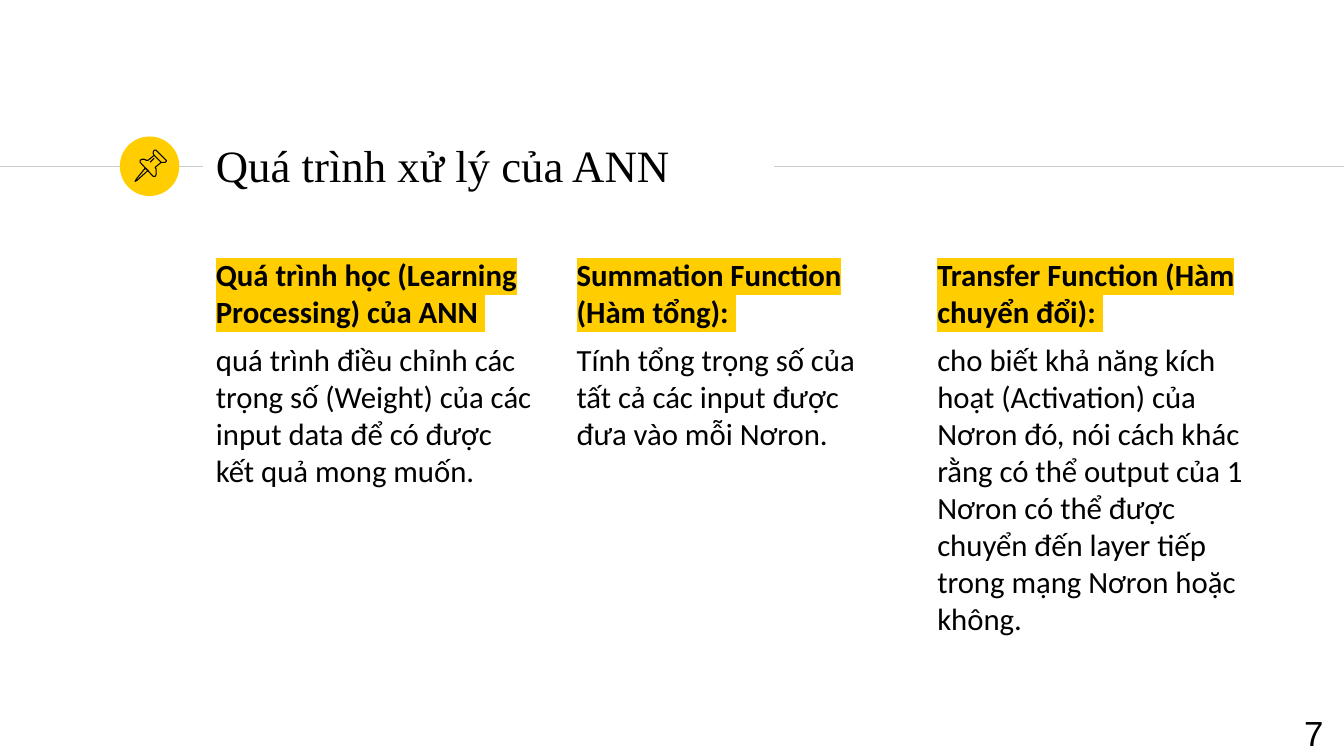
import lxml.etree
import pptx
import pptx.dml.color
import pptx.enum.shapes
import pptx.enum.text
import pptx.oxml.ns
import pptx.util

Cm = pptx.util.Cm
Pt = pptx.util.Pt
qn = pptx.oxml.ns.qn
Align = pptx.enum.text.PP_ALIGN
Anchor = pptx.enum.text.MSO_ANCHOR

BLACK = pptx.dml.color.RGBColor(0x00, 0x00, 0x00)
GREY = pptx.dml.color.RGBColor(0xCC, 0xCC, 0xCC)
GOLD = pptx.dml.color.RGBColor(0xFF, 0xCD, 0x00)

FRAME = {
    "word_wrap": True,
    "auto_size": pptx.enum.text.MSO_AUTO_SIZE.NONE,
    "margin_left": Cm(0.33),
    "margin_right": Cm(0.33),
    "margin_top": Cm(0.33),
    "margin_bottom": Cm(0.33),
}
RULE_Y = 4.19

COLUMNS = [
    ("Quá trình học (Learning Processing) của ANN ",
     "quá trình điều chỉnh các trọng số (Weight) của các input data "
     "để có được kết quả mong muốn."),
    ("Summation Function (Hàm tổng): ",
     "Tính tổng trọng số của tất cả các input được đưa vào mỗi Nơron."),
    ("Transfer Function (Hàm chuyển đổi): ",
     "cho biết khả năng kích hoạt (Activation) của Nơron đó, nói cách khác "
     "rằng có thể output của 1 Nơron có thể được chuyển đến layer tiếp "
     "trong mạng Nơron hoặc không."),
]

# Pin outlines in hundredths of an inch: points, closed
PIN = [
    ([(144, 167), (135, 178), (134, 180), (136, 179), (147, 169)], True),
    ([(153, 154), (160, 161), (162, 161), (164, 161), (165, 160), (165, 159),
      (155, 149), (154, 149), (153, 149), (152, 151), (152, 152)], True),
    ([(153, 154), (147, 159), (145, 159), (143, 158), (141, 158), (139, 159),
      (139, 161), (152, 175), (153, 175), (154, 175), (155, 173), (155, 171),
      (155, 168), (154, 166), (160, 161)], False),
    ([(149, 161), (153, 157)], False),
]


def apply(item, values):
    for name, value in values.items():
        setattr(item, name, value)


def place(shape, left, top, width, height):
    apply(shape, {"left": Cm(left), "top": Cm(top),
                  "width": Cm(width), "height": Cm(height)})


def frame(shape, anchor):
    apply(shape.text_frame, {**FRAME, "vertical_anchor": anchor})
    return shape.text_frame


def write(para, text, face, size, align=Align.LEFT, before=0, bold=False):
    apply(para, {"alignment": align, "space_before": Pt(before),
                 "space_after": Pt(0), "line_spacing": 1.0})
    run = para.add_run()
    run.text = text
    apply(run.font, {"name": face, "size": Pt(size), "bold": bold})
    run.font.color.rgb = BLACK
    return run


def mark(run):
    """Highlight a run; the schema wants it right after the fill."""
    fill = run.font._element.find(qn("a:solidFill"))
    light = lxml.etree.Element(qn("a:highlight"))
    lxml.etree.SubElement(light, qn("a:srgbClr"), val=str(GOLD))
    fill.addnext(light)


def plain(para):
    """Drop the bullet and the indent of a list paragraph."""
    props = para._p.get_or_add_pPr()
    props.set("marL", "0")
    props.set("indent", "0")
    lxml.etree.SubElement(props, qn("a:buNone"))


def column(shape, head, text):
    body = frame(shape, Anchor.TOP)
    first, second = body.paragraphs[0], body.add_paragraph()
    mark(write(first, head, "Calibri", 22, before=8, bold=True))
    write(second, text, "Calibri", 22, before=8)
    for para in (first, second):
        plain(para)


def rule(slide, start, end):
    line = slide.shapes.add_connector(
        pptx.enum.shapes.MSO_CONNECTOR.STRAIGHT,
        Cm(start), Cm(RULE_Y), Cm(end), Cm(RULE_Y))
    line.line.color.rgb = GREY
    line.line.width = Pt(0.75)
    lxml.etree.SubElement(line._element.spPr, qn("a:effectLst"))


def badge(slide):
    disc = slide.shapes.add_shape(pptx.enum.shapes.MSO_SHAPE.OVAL,
                                  Cm(3.02), Cm(3.44), Cm(1.5), Cm(1.5))
    disc.shadow.inherit = False
    disc.fill.solid()
    disc.fill.fore_color.rgb = GOLD
    disc.line.fill.background()
    for points, closed in PIN:
        pen = slide.shapes.build_freeform(*points[0], scale=Cm(0.0254))
        pen.add_line_segments(points[1:], close=closed)
        part = pen.convert_to_shape()
        part.shadow.inherit = False
        part.fill.background()
        part.line.color.rgb = BLACK
        part.line.width = Pt(0.75)


def main():
    deck = pptx.Presentation()
    apply(deck, {"slide_width": Cm(33.87), "slide_height": Cm(19.05)})
    slide = deck.slides.add_slide(deck.slide_layouts[4])
    title, *bodies, spare = slide.placeholders
    spare._element.getparent().remove(spare._element)

    # Header
    rule(slide, 0, 5.11)
    rule(slide, 19.51, 33.87)
    badge(slide)
    place(title, 5.11, 3.33, 14.38, 1.63)
    write(frame(title, Anchor.MIDDLE).paragraphs[0],
          "Quá trình xử lý của ANN", "Times New Roman", 32)

    # Columns
    for i, (body, (head, text)) in enumerate(zip(bodies, COLUMNS)):
        place(body, 5.11 + 9.09 * i, 6.12, 8.64, 11.56)
        column(body, head, text)

    # Page number
    box = slide.shapes.add_textbox(Cm(31.65), Cm(17.6), Cm(2.03), Cm(1.45))
    write(frame(box, Anchor.TOP).paragraphs[0], "7", "Arial", 24.9, Align.RIGHT)

    deck.save("out.pptx")


if __name__ == "__main__":
    main()
